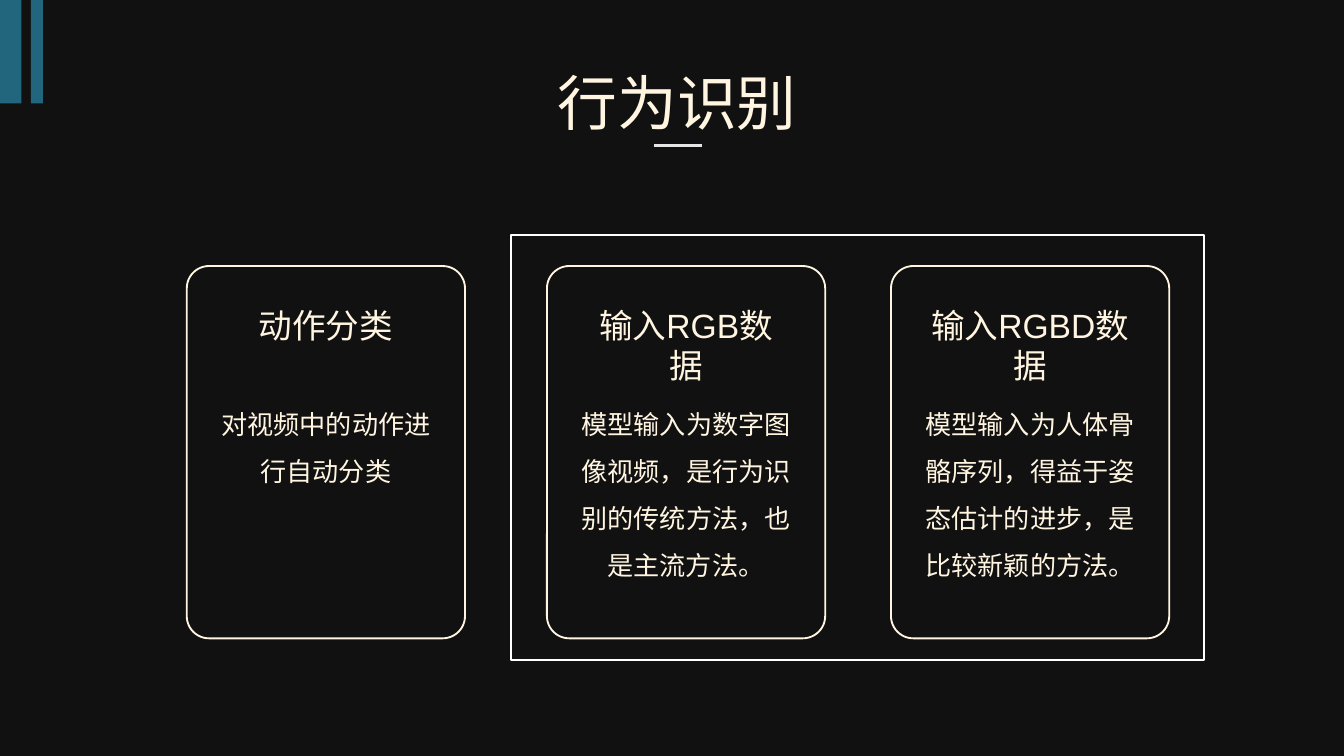
from dataclasses import dataclass

from pptx import Presentation
from pptx.dml.color import RGBColor
from pptx.enum.shapes import MSO_CONNECTOR, MSO_SHAPE
from pptx.enum.text import MSO_AUTO_SIZE, PP_ALIGN
from pptx.oxml.ns import qn
from pptx.util import Inches, Pt
from lxml import etree

RECT = MSO_SHAPE.RECTANGLE
ROUNDED = MSO_SHAPE.ROUNDED_RECTANGLE
STRAIGHT = MSO_CONNECTOR.STRAIGHT
CENTER = PP_ALIGN.CENTER
GROW = MSO_AUTO_SIZE.SHAPE_TO_FIT_TEXT


@dataclass(frozen=True)
class Theme:
    background: str = "111111"
    accent: str = "37CBFF"
    accent_alpha: int = 46
    cream: str = "FFF5E1"
    frame: str = "FFFFFF"
    rule: str = "E7E6E6"
    title_size: int = 32
    heading_size: int = 18
    body_size: int = 14
    heading_font: str = "Arial"
    body_font: str = "Noto Sans CJK SC"


@dataclass(frozen=True)
class Card:
    left: float
    heading: str
    heading_width: float
    body: str
    body_height: float


THEME = Theme()
SLIDE_WIDTH = 10
SLIDE_HEIGHT = SLIDE_WIDTH * 9 / 16
CARD_TOP, CARD_WIDTH, CARD_HEIGHT = 1.98, 2.07, 2.77
BODY_WIDTH = 1.95
CARDS = [
    Card(1.39, "动作分类", 1.25, "对视频中的动作进行自动分类", 0.81),
    Card(4.07, "输入RGB数据", 1.66,
         "模型输入为数字图像视频，是行为识别的传统方法，也是主流方法。", 1.51),
    Card(6.63, "输入RGBD数据", 1.83,
         "模型输入为人体骨骼序列，得益于姿态估计的进步，是比较新颖的方法。", 1.51),
]


def rgb(color: str) -> RGBColor:
    return RGBColor.from_string(color)


def add_bar(s, left: float, width: float) -> None:
    """Translucent accent bar hanging from the top edge."""
    sp = s.shapes.add_shape(RECT, Inches(left), Inches(0), Inches(width), Inches(0.77))
    sp.shadow.inherit = False
    sp.fill.solid()
    sp.fill.fore_color.rgb = rgb(THEME.accent)
    color = sp.fill._xPr.find(qn("a:solidFill"))[0]
    etree.SubElement(color, qn("a:alpha"), val=str(THEME.accent_alpha * 1000))
    sp.line.fill.background()


def add_outline(s, kind, left: float, top: float, width: float, height: float, color: str):
    sp = s.shapes.add_shape(kind, Inches(left), Inches(top), Inches(width), Inches(height))
    sp.shadow.inherit = False
    sp.fill.background()
    sp.line.color.rgb = rgb(color)
    sp.line.width = Pt(1)
    return sp


def add_text(s, text: str, center: float, top: float, width: float, height: float,
             size: int, font: str, spacing: float = 1.0) -> None:
    box = s.shapes.add_textbox(Inches(center - width / 2), Inches(top),
                               Inches(width), Inches(height))
    tf = box.text_frame
    tf.word_wrap = True
    tf.auto_size = GROW
    p = tf.paragraphs[0]
    p.text = text
    p.alignment = CENTER
    p.line_spacing = spacing
    p.font.size = Pt(size)
    p.font.name = font
    p.font.color.rgb = rgb(THEME.cream)


def add_card(s, card: Card) -> None:
    sp = add_outline(s, ROUNDED, card.left, CARD_TOP, CARD_WIDTH, CARD_HEIGHT, THEME.cream)
    sp.adjustments[0] = 0.08
    center = card.left + CARD_WIDTH / 2
    add_text(s, card.heading, center, 2.22, card.heading_width, 0.4,
             THEME.heading_size, THEME.heading_font)
    add_text(s, card.body, center, 2.87, BODY_WIDTH, card.body_height,
             THEME.body_size, THEME.body_font, 1.5)


def add_rule(s, left: float, right: float, y: float) -> None:
    line = s.shapes.add_connector(STRAIGHT, Inches(left), Inches(y), Inches(right), Inches(y))
    line.line.color.rgb = rgb(THEME.rule)
    line.line.width = Pt(1.5)
    etree.SubElement(line._element.spPr, qn("a:effectLst"))


def main() -> None:
    prs = Presentation()
    prs.slide_width, prs.slide_height = Inches(SLIDE_WIDTH), Inches(SLIDE_HEIGHT)
    s = prs.slides.add_slide(prs.slide_layouts[6])

    # Background and corner bars
    s.background.fill.solid()
    s.background.fill.fore_color.rgb = rgb(THEME.background)
    add_bar(s, 0, 0.16)
    add_bar(s, 0.23, 0.09)

    # Title with its underline
    add_text(s, "行为识别", 5.04, 0.44, 2.1, 0.64, THEME.title_size, THEME.body_font)
    add_rule(s, 4.87, 5.22, 1.08)

    # Frame around the two input types, then the cards
    add_outline(s, RECT, 3.8, 1.75, 5.16, 3.16, THEME.frame)
    for card in CARDS:
        add_card(s, card)

    prs.save("out.pptx")


if __name__ == "__main__":
    main()
